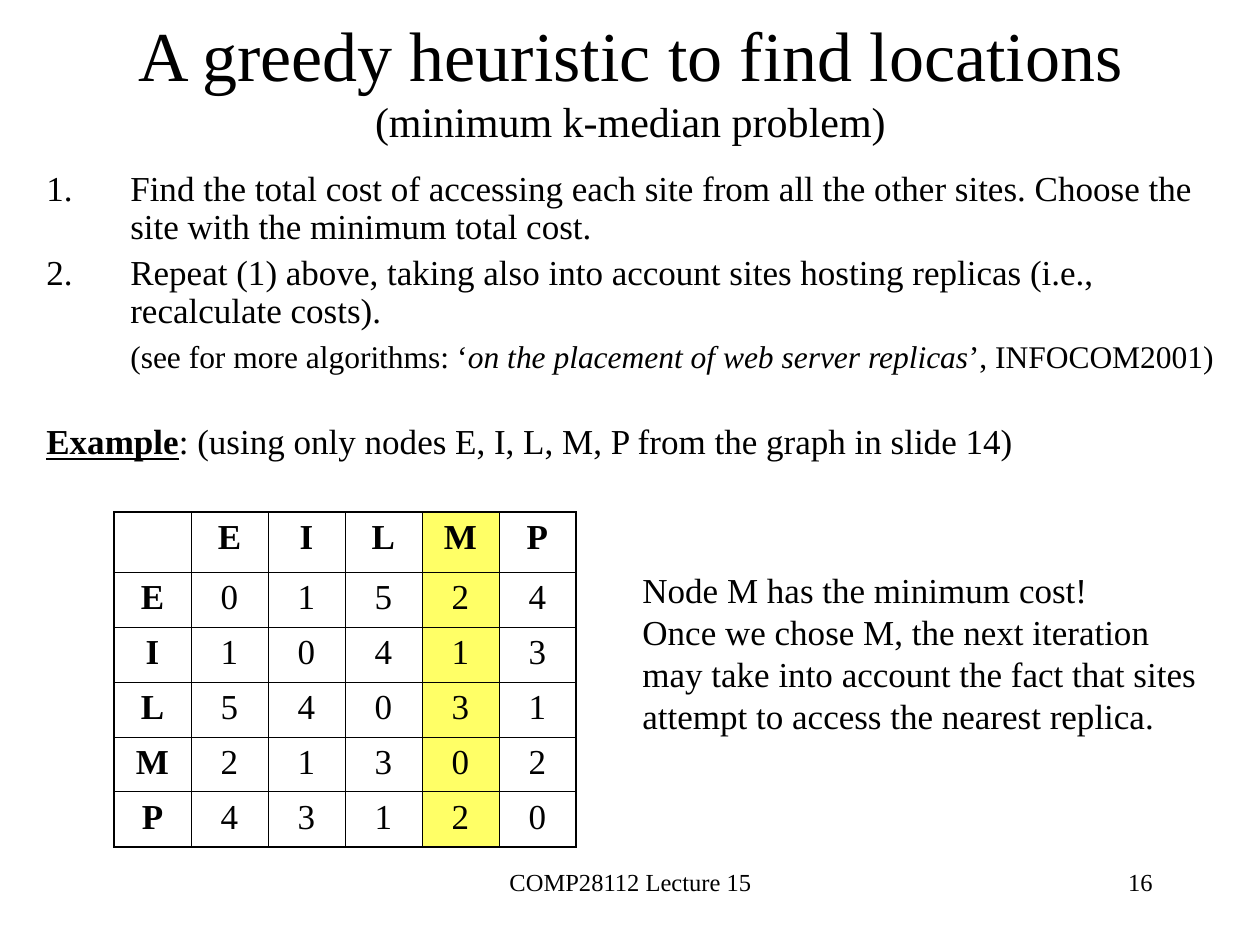
import pptx
import pptx.util
import pptx.dml.color
import pptx.enum.text
import pptx.oxml
import pptx.oxml.ns

SCALE = 914400 / 126  # EMU in one px
FONT = "Times New Roman"
COLORS = {"ink": "000000", "mark": "FFFF66"}
ALIGN = pptx.enum.text.PP_ALIGN
ANCHOR = pptx.enum.text.MSO_ANCHOR
NODES = "EILMP"
BEST = "M"
COSTS = [
    [0, 1, 5, 2, 4],
    [1, 0, 4, 1, 3],
    [5, 4, 0, 3, 1],
    [2, 1, 3, 0, 2],
    [4, 3, 1, 2, 0],
]


def px(count):
    return pptx.util.Emu(round(count * SCALE))


def color(name):
    return pptx.dml.color.RGBColor.from_string(COLORS[name])


def style(para, size, align=ALIGN.LEFT, bold=None):
    font = para.font
    font.name, font.size, font.bold = FONT, pptx.util.Pt(size), bold
    font.color.rgb = color("ink")
    para.alignment = align


def add_text(slide, box, lines, size, align=ALIGN.LEFT):
    """Add a wrapped text box; each line is a list of run texts."""
    frame = slide.shapes.add_textbox(*map(px, box)).text_frame
    frame.word_wrap = True
    for i, runs in enumerate(lines):
        para = frame.add_paragraph() if i else frame.paragraphs[0]
        for text in runs:
            para.add_run().text = text
        style(para, size, align)
    return frame.paragraphs


def indent(para, left, first, number=False):
    props = para._p.get_or_add_pPr()
    props.set("marL", str(px(left)))
    props.set("indent", str(px(first)))
    if number:
        mark = pptx.oxml.parse_xml(
            f'<a:buAutoNum {pptx.oxml.ns.nsdecls("a")} type="arabicPeriod"/>')
        props.append(mark)


def set_title(slide):
    title = slide.shapes.title
    title.left, title.top, title.width, title.height = map(px, (95, 0, 1071, 157))
    frame = title.text_frame
    frame.auto_size = pptx.enum.text.MSO_AUTO_SIZE.NONE
    frame.vertical_anchor = ANCHOR.MIDDLE
    para = frame.paragraphs[0]
    para.add_run().text = "A greedy heuristic to find locations"
    para.add_line_break()
    sub = para.add_run()
    sub.text = "(minimum k-median problem)"
    style(para, 40, ALIGN.CENTER)
    sub.font.size = pptx.util.Pt(24)


def add_steps(slide):
    paras = add_text(slide, (34, 165, 1211, 348), [
        ["Find the total cost of accessing each site from all the other sites. "
         "Choose the site with the minimum total cost."],
        ["Repeat (1) above, taking also into account sites hosting replicas "
         "(i.e., recalculate costs)."],
        ["(see for more algorithms: ‘", "on the placement of web server replicas",
         "’, INFOCOM2001)"],
        ["Example", ": (using only nodes E, I, L, M, P from the graph in slide 14)"],
    ], 20)
    for para, gap in zip(paras, (5, 5, 6, 28)):
        para.line_spacing = 0.9
        para.space_before = pptx.util.Pt(gap)
    for step in paras[:2]:
        indent(step, 84, -84, number=True)
    # Source note and example heading
    note, head = paras[2:]
    indent(note, 84, 0)
    note.font.size = pptx.util.Pt(18)
    note.runs[1].font.italic = True
    head.runs[0].font.bold = head.runs[0].font.underline = True


def set_edge(cell, sides):
    """Draw the cell borders; sides maps L, R, T, B to widths in points."""
    props = cell._tc.get_or_add_tcPr()
    for i, (side, width) in enumerate(sides.items()):
        props.insert(i, pptx.oxml.parse_xml(
            f'<a:ln{side} {pptx.oxml.ns.nsdecls("a")} w="{pptx.util.Pt(width)}">'
            f'<a:solidFill><a:srgbClr val="{COLORS["ink"]}"/></a:solidFill>'
            f'</a:ln{side}>'))


def add_costs(slide):
    rows = [["", *NODES]] + [[n, *c] for n, c in zip(NODES, COSTS)]
    last = len(rows) - 1
    grid = slide.shapes.add_table(
        len(rows), len(rows), *map(px, (114, 512, 464, 334))).table
    grid.first_row = grid.horz_banding = False
    for i in range(len(rows)):
        grid.columns[i].width = px(77)
        grid.rows[i].height = px(55 if i else 60)
    for r, row in enumerate(rows):
        for c, value in enumerate(row):
            cell = grid.cell(r, c)
            cell.text = str(value)
            para = cell.text_frame.paragraphs[0]
            style(para, 20, ALIGN.CENTER, bold=r == 0 or c == 0)
            para.space_before = pptx.util.Pt(5)
            if rows[0][c] == BEST:
                cell.fill.solid()
                cell.fill.fore_color.rgb = color("mark")
            else:
                cell.fill.background()
            outer = {"L": c == 0, "R": c == last, "T": r == 0, "B": r == last}
            set_edge(cell, {s: 1.08 if o else 0.45 for s, o in outer.items()})


def main():
    deck = pptx.Presentation()
    deck.slide_width, deck.slide_height = px(1260), px(945)
    slide = deck.slides.add_slide(deck.slide_layouts[5])
    # Footer
    add_text(slide, (431, 861, 399, 63), [["COMP28112 Lecture 15"]], 14, ALIGN.CENTER)
    add_text(slide, (903, 861, 262, 63), [["16"]], 14, ALIGN.RIGHT)
    # Heading, steps and cost table
    set_title(slide)
    add_steps(slide)
    add_costs(slide)
    # Conclusion
    add_text(slide, (630, 562, 596, 265), [
        ["Node M has the minimum cost!"],
        ["Once we chose M, the next iteration may take into account the fact "
         "that sites attempt to access the nearest replica."],
    ], 20)
    deck.save("out.pptx")


if __name__ == "__main__":
    main()
